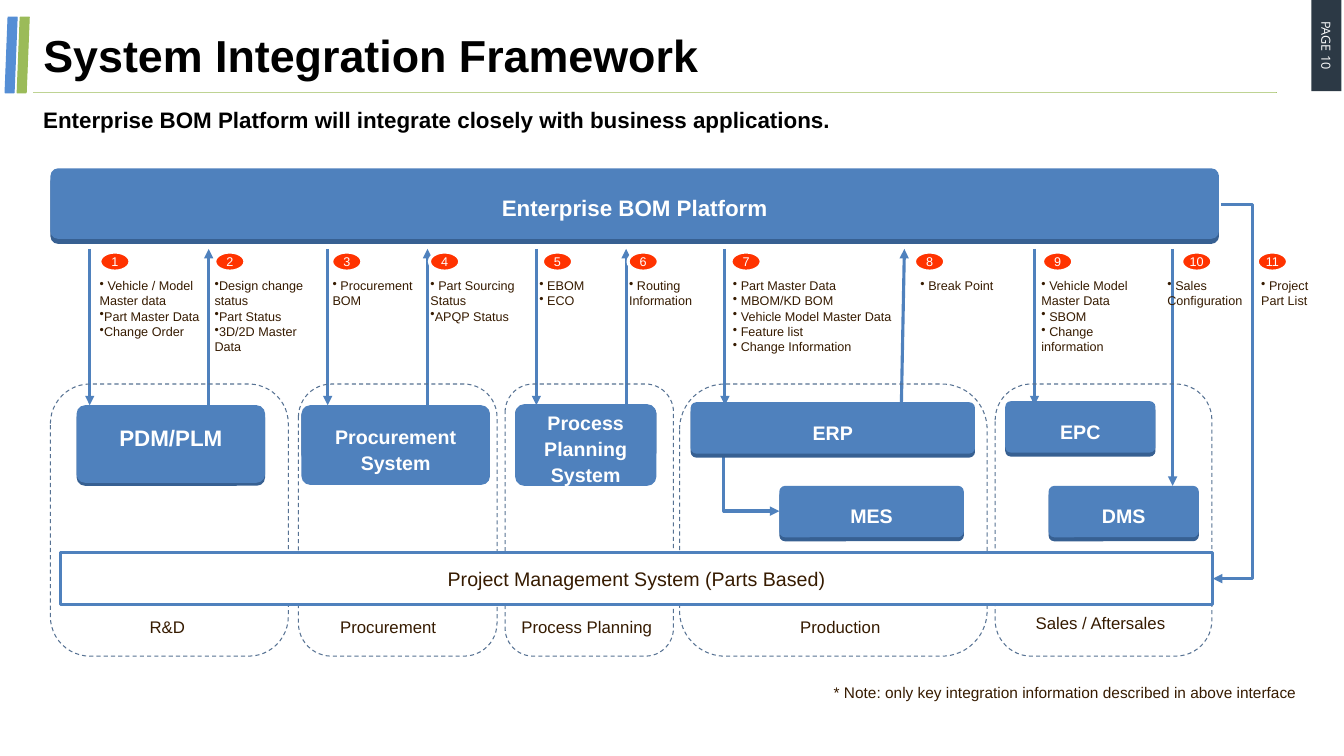
from lxml import etree
from pptx import Presentation
from pptx.dml.color import RGBColor
from pptx.enum.dml import MSO_LINE
from pptx.enum.shapes import MSO_CONNECTOR, MSO_SHAPE
from pptx.enum.text import MSO_ANCHOR, MSO_AUTO_SIZE, PP_ALIGN
from pptx.oxml.ns import qn
from pptx.util import Inches, Pt

RECTANGLE, ROUNDED = MSO_SHAPE.RECTANGLE, MSO_SHAPE.ROUNDED_RECTANGLE
FRAME, SLANTED = MSO_SHAPE.FLOWCHART_ALTERNATE_PROCESS, MSO_SHAPE.PARALLELOGRAM
OVAL, DASH = MSO_SHAPE.OVAL, MSO_LINE.DASH
STRAIGHT, ELBOW = MSO_CONNECTOR.STRAIGHT, MSO_CONNECTOR.ELBOW
LEFT, CENTER = PP_ALIGN.LEFT, PP_ALIGN.CENTER
TOP, MIDDLE = MSO_ANCHOR.TOP, MSO_ANCHOR.MIDDLE
NO_FIT = MSO_AUTO_SIZE.NONE

BLUE, DARK_BLUE, GREEN, BROWN = "4F81BD", "376092", "9BBB59", "361B00"
WHITE, BLACK = "FFFFFF", "000000"
color = RGBColor.from_string

# Every position and length counts grid cells of a tenth of an inch
CELL = Inches(0.1)
ARROW_TOP, ARROW_BOTTOM = 24.7, 40.2

presentation = Presentation()
presentation.slide_width, presentation.slide_height = Inches(13.33), Inches(7.5)
slide = presentation.slides.add_slide(presentation.slide_layouts[5])


def add_block(kind, box, fill=None, line=None, width=0.75, dash=None):
    """Add a preset shape, or a text box when kind is None."""
    lengths = [round(value * CELL) for value in box]
    if kind is None:
        return slide.shapes.add_textbox(*lengths)
    shape = slide.shapes.add_shape(kind, *lengths)
    shape.shadow.inherit = False
    if fill:
        shape.fill.solid()
        shape.fill.fore_color.rgb = color(fill)
    else:
        shape.fill.background()
    if line:
        shape.line.color.rgb = color(line)
        shape.line.width = Pt(width)
        shape.line.dash_style = dash
    else:
        shape.line.fill.background()
    return shape


def write(shape, text, size=12, ink=BROWN, bold=False, font="Arial", align=CENTER,
          anchor=MIDDLE, spacing=1.0, insets=(1, 0.5, 1, 0.5), wrap=True, bullet=None):
    frame = shape.text_frame
    frame.text = text
    frame.word_wrap, frame.auto_size, frame.vertical_anchor = wrap, NO_FIT, anchor
    (frame.margin_left, frame.margin_top,
     frame.margin_right, frame.margin_bottom) = [round(value * CELL) for value in insets]
    for paragraph in frame.paragraphs:
        paragraph.alignment = align
        paragraph.line_spacing = spacing
        paragraph.font.name, paragraph.font.size = font, Pt(size)
        paragraph.font.bold, paragraph.font.color.rgb = bold, color(ink)
        if bullet:
            properties = paragraph._p.get_or_add_pPr()
            etree.SubElement(properties, qn("a:buChar"), char=bullet)


# Number, arrow x at top and bottom, arrow end, badge x, text x, text width, items
interfaces = [
    (1, 8.9, 8.9, "tail", 9.9, 8.9, 12.2,
     [" Vehicle / Model Master data", "Part Master Data", "Change Order"]),
    (2, 20.7, 20.7, "head", 21.3, 20.3, 10.9,
     ["Design change status", "Part Status", "3D/2D Master Data"]),
    (3, 32.5, 32.5, "tail", 32.9, 32, 10.3, [" Procurement BOM"]),
    (4, 42.4, 42.4, "head", 42.6, 41.7, 10.9, [" Part Sourcing Status", "APQP Status"]),
    (5, 53.2, 53.2, "tail", 53.8, 52.5, 10.9, [" EBOM", " ECO"]),
    (6, 62.1, 62.1, "head", 62.3, 61.4, 10.9, [" Routing Information"]),
    (7, 71.9, 71.9, "tail", 72.5, 71.7, 19.1,
     [" Part Master Data", " MBOM/KD BOM", " Vehicle Model Master Data",
      " Feature list", " Change Information"]),
    (8, 89.7, 89.4, "head", 90.7, 90.3, 13.4, [" Break Point"]),
    (9, 102.6, 102.6, "tail", 103.4, 102.3, 13.4,
     [" Vehicle Model Master Data", " SBOM", " Change information"]),
    (10, 116.3, 116.3, "tail", 117.2, 114.8, 10.7, [" Sales Configuration"]),
    (11, None, None, None, 124.7, 124.1, 7.6, [" Project Part List"]),
]

# Page tag and slanted bars
page_tag = add_block(RECTANGLE, (127, 3, 9.1, 3), "2C3945")
page_tag.rotation = 90
write(page_tag, "PAGE 10", size=9, ink=WHITE, font="Open Sans")
for left, fill in [(1.7, GREEN), (0.5, "558ED5")]:
    add_block(SLANTED, (left, 1.7, 1.2, 7.5), fill, line=fill)

# Lines: kind, begin, end, arrow end, elbow position, colour, width
lines = [
    (STRAIGHT, 3.3, 9.2, 126.7, 9.2, None, None, GREEN, 0.75),
    (ELBOW, 121.1, 20.3, 120.3, 57.4, "tail", -387500, BLUE, 2.25),
    (ELBOW, 71.8, 45.2, 77.3, 50.7, "tail", 0, BLUE, 2.25),
]
for number, top_x, bottom_x, arrow, *_ in interfaces:
    if arrow:
        bottom = 48.2 if number == 10 else ARROW_BOTTOM
        lines.append((STRAIGHT, top_x, ARROW_TOP, bottom_x, bottom, arrow, None, BLUE, 2.25))
for kind, *ends, arrow, elbow, ink, width in lines:
    connector = slide.shapes.add_connector(kind, *[round(value * CELL) for value in ends])
    connector.line.color.rgb = color(ink)
    connector.line.width = Pt(width)
    properties = connector.element.spPr
    if arrow:
        etree.SubElement(properties.find(qn("a:ln")), qn(f"a:{arrow}End"), type="triangle")
    if elbow is not None:
        guides = properties.find(qn("a:prstGeom")).find(qn("a:avLst"))
        etree.SubElement(guides, qn("a:gd"), name="adj1", fmla=f"val {elbow}")
    etree.SubElement(properties, qn("a:effectLst"))

# Title and subtitle
title = slide.shapes.title
title.left, title.top, title.width, title.height = [
    round(value * CELL) for value in (3.3, 1.7, 123.3, 7.5)]
write(title, "System Integration Framework", size=32, ink=BLACK, bold=True, align=LEFT)
subtitle = add_block(RECTANGLE, (3.3, 9.2, 123.3, 4.7), WHITE)
write(subtitle, "Enterprise BOM Platform will integrate closely with business applications.",
      size=16, ink=BLACK, bold=True, align=LEFT, spacing=1.2, insets=(1, 1, 0, 1))

# Departments: frame x and width, label x, y and width
departments = [
    ("R&D", 5, 23.6, 13.6, 60.7, 6),
    ("Procurement", 29.6, 19.7, 32.3, 60.7, 12.4),
    ("Process Planning", 50.1, 16.7, 49.5, 60.7, 17.4),
    ("Production", 67.4, 30.5, 72.7, 60.7, 21.3),
    ("Sales / Aftersales", 98.7, 21.5, 98.1, 60.3, 22.1),
]
for name, left, width, label_left, label_top, label_width in departments:
    add_block(FRAME, (left, 38.1, width, 27), line="577293", dash=DASH)
    write(add_block(None, (label_left, label_top, label_width, 3)), name, anchor=TOP)

# Project management bar
project_bar = add_block(RECTANGLE, (6, 54.8, 114.3, 5.2), WHITE, line=BLUE, width=2.25)
write(project_bar, "Project Management System (Parts Based)", size=14)

# Numbered badges and exchanged data
for number, _, _, _, badge_left, text_left, text_width, items in interfaces:
    badge = add_block(OVAL, (badge_left, 25, 3, 1.9), "FF3300", line=WHITE, width=2.25)
    write(badge, str(number), size=9, ink=WHITE, wrap=False)
    height = 1 + 1.52 * max(2, len(items))
    write(add_block(None, (text_left, 27.1, text_width, height)), "\n".join(items),
          size=9, align=LEFT, anchor=TOP, bullet="•")

# Systems: face box, shade y and height, text inset from the top, size, spacing
systems = [
    ("Enterprise BOM Platform", (5, 16.7, 115.9, 7), 17.2, 7, 2.3, 16, 1.0),
    ("PDM/PLM", (7.6, 40.2, 18.7, 7.7), 40.6, 7.6, 1.4, 16, 1.1),
    ("Procurement System", (29.9, 40.2, 18.7, 7.9), 40.6, 5.1, 1.5, 14, 1.1),
    ("Process Planning System", (51.1, 40.1, 14, 8.1), 40.4, 5.1, 0.2, 14, 1.1),
    ("ERP", (68.5, 39.9, 28.2, 5.1), 40.3, 5.1, 1.5, 14, 1.1),
    ("EPC", (99.7, 39.8, 14.9, 5.1), 40.2, 5.1, 1.5, 14, 1.1),
    ("DMS", (104, 48.2, 14.9, 5.1), 48.6, 5.1, 1.4, 14, 1.1),
    ("MES", (77.3, 48.2, 18.3, 5.1), 48.6, 5.1, 1.4, 14, 1.1),
]
for name, face_box, shade_top, shade_height, inset, size, spacing in systems:
    left, _, width, _ = face_box
    shade = add_block(ROUNDED, (left, shade_top, width, shade_height), DARK_BLUE)
    face = add_block(ROUNDED, face_box, BLUE)
    shade.adjustments[0] = face.adjustments[0] = 0.11
    write(face, name, size=size, ink=WHITE, bold=True, anchor=TOP, spacing=spacing,
          insets=(0, inset, 0, 0))

# Footnote
write(add_block(None, (81.7, 67.3, 48.2, 2.9)),
      "* Note: only key integration information described in above interface",
      size=11, align=LEFT, anchor=TOP)

presentation.save("out.pptx")
